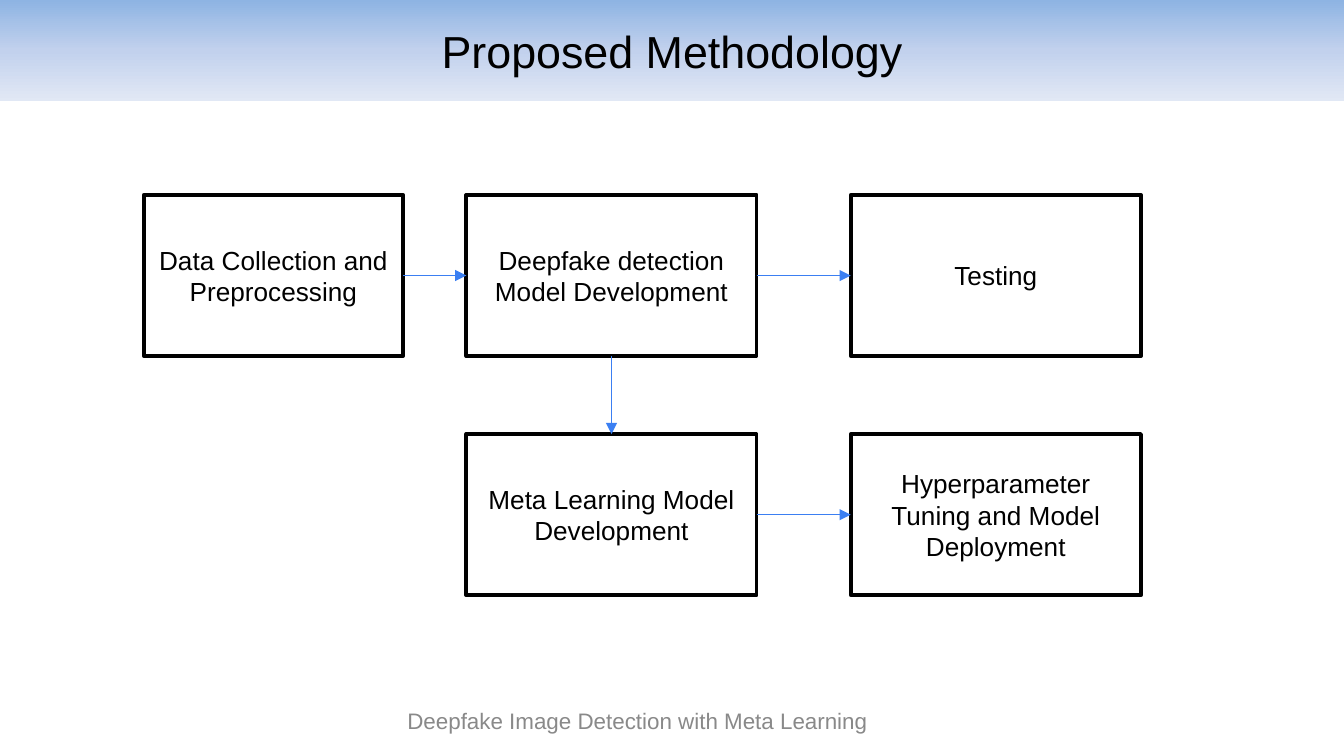
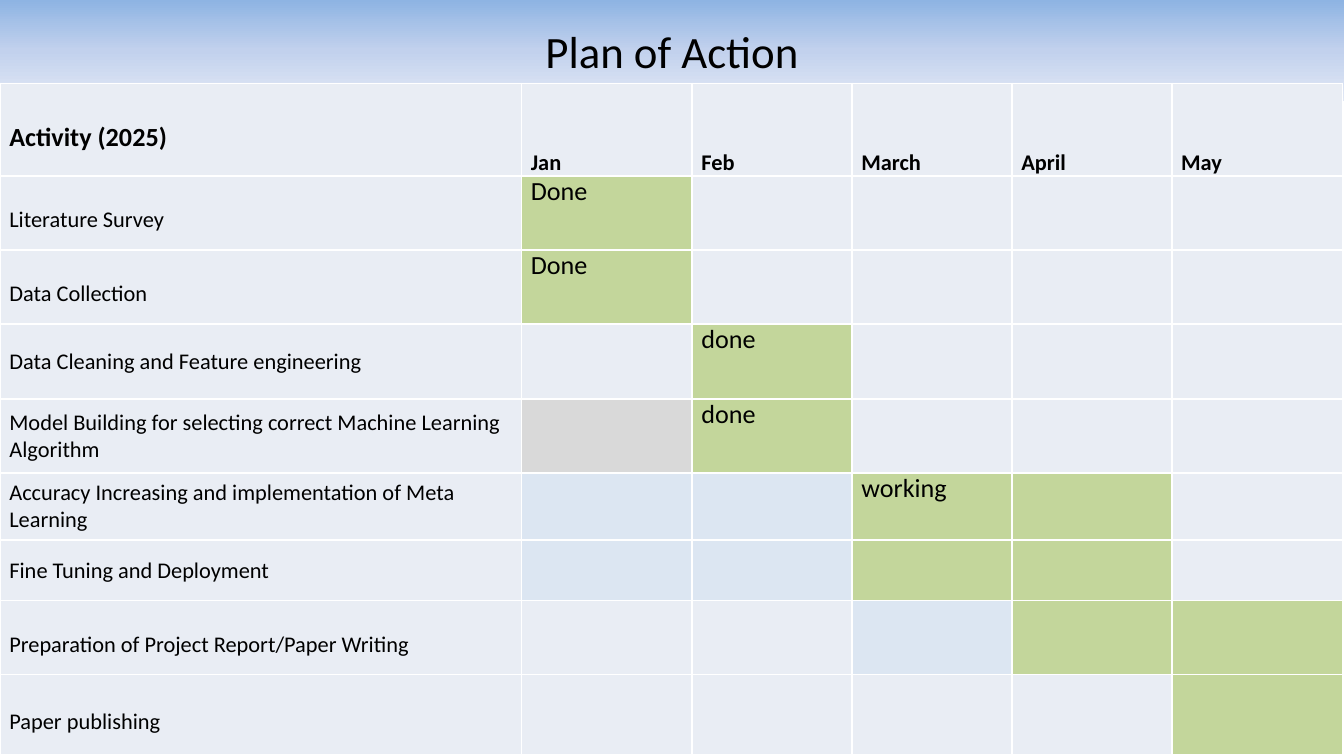
from copy import deepcopy

from lxml import etree
from pptx import Presentation, util as u
from pptx.dml.color import RGBColor
from pptx.enum import shapes, text
from pptx.oxml import ns

# Shared look
WIDTH = 10
HEIGHT = WIDTH * 9 / 16
BLACK = RGBColor(0, 0, 0)
WHITE = RGBColor(255, 255, 255)
GREY = RGBColor(0x89, 0x89, 0x89)
ARROW_BLUE = RGBColor(0x3B, 0x7F, 0xF2)
BAND_STOPS = [(0, RGBColor(0x8E, 0xB4, 0xE3)),
              (0.5, RGBColor(0xC2, 0xD1, 0xED)),
              (1, RGBColor(0xE1, 0xE8, 0xF5))]
BAND_HEIGHT = 0.75

# Methodology: steps on a grid of columns (left, width) and row tops
STEP_COLUMNS = [(1.07, 1.93), (3.47, 2.16), (6.33, 2.16)]
STEP_TOPS = [1.45, 3.23]
STEP_HEIGHT = 1.2
STEPS = {  # name: (column, row, wording)
    "data": (0, 0, "Data Collection and Preprocessing"),
    "model": (1, 0, "Deepfake detection Model Development"),
    "testing": (2, 0, "Testing"),
    "meta": (1, 1, "Meta Learning Model Development"),
    "tuning": (2, 1, "Hyperparameter Tuning and Model Deployment"),
}
TOP, LEFT, BOTTOM, RIGHT = range(4)
FLOW = [("data", RIGHT, "model", LEFT), ("model", RIGHT, "testing", LEFT),
        ("model", BOTTOM, "meta", TOP), ("meta", RIGHT, "tuning", LEFT)]
FOOTER = "Deepfake Image Detection with Meta Learning"

# Plan: one fill code per month, and notes by month index
MONTHS = ["Jan", "Feb", "March", "April", "May"]
CELL_FILLS = {".": RGBColor(0xE9, 0xED, 0xF4),
              "G": RGBColor(0xC3, 0xD6, 0x9B),
              "B": RGBColor(0xDC, 0xE6, 0xF2),
              "x": RGBColor(0xD9, 0xD9, 0xD9)}
PLAN = [  # activity, fills, notes, row height, loose spacing
    ("Literature Survey", "G....", {0: "Done"}, 0.55, True),
    ("Data Collection", "G....", {0: "Done"}, 0.55, True),
    ("Data Cleaning and Feature engineering", ".G...", {1: "done"}, 0.56, False),
    ("Model Building for selecting correct Machine Learning Algorithm",
     "xG...", {1: "done"}, 0.55, False),
    ("Accuracy Increasing and implementation of Meta Learning",
     "BBGG.", {2: "working"}, 0.5, False),
    ("Fine Tuning and Deployment", "BBGG.", {}, 0.45, False),
    ("Preparation of Project Report/Paper Writing", "..BGG", {}, 0.55, True),
    ("Paper publishing", "....G", {}, 0.6, True),
]
PLAN_TOP = 0.62
PLAN_HEADER_HEIGHT = 0.69
PLAN_WIDTHS = [3.88, 1.27, 1.19, 1.19, 1.19, 1.27]


def inches(*lengths):
    return [u.Inches(length) for length in lengths]


def write(frame, wording, size, font, color=BLACK, align=text.PP_ALIGN.CENTER):
    frame.word_wrap = True
    frame.vertical_anchor = text.MSO_ANCHOR.MIDDLE
    line = frame.paragraphs[0]
    line.text = wording
    line.alignment = align
    line.font.size, line.font.name = u.Pt(size), font
    line.font.color.rgb = color


def add_box(slide, left, top, width, height):
    box = slide.shapes.add_shape(shapes.MSO_SHAPE.RECTANGLE,
                                 *inches(left, top, width, height))
    box.shadow.inherit = False
    return box


def add_title(slide, wording, font):
    band = add_box(slide, 0, 0, WIDTH, BAND_HEIGHT)
    band.line.fill.background()
    band.fill.gradient()
    band.fill.gradient_angle = 270
    stop_list = band._element.spPr.find(".//" + ns.qn("a:gsLst"))
    stop_list.append(deepcopy(stop_list[-1]))
    for stop, (position, color) in zip(band.fill.gradient_stops, BAND_STOPS):
        stop.position = position
        stop.color.rgb = color
    write(band.text_frame, wording, 24, font)


def add_arrow(slide, start, start_side, end, end_side):
    arrow = slide.shapes.add_connector(shapes.MSO_CONNECTOR.STRAIGHT, 0, 0, 0, 0)
    arrow.begin_connect(start, start_side)
    arrow.end_connect(end, end_side)
    arrow.line.color.rgb = ARROW_BLUE
    arrow.line.width = u.Pt(0.75)
    etree.SubElement(arrow.line._get_or_add_ln(), ns.qn("a:tailEnd"), type="triangle")
    etree.SubElement(arrow._element.spPr, ns.qn("a:effectLst"))


def style_cell(cell, fill):
    cell.margin_left = cell.margin_right = u.Inches(0.07)
    cell.margin_top = cell.margin_bottom = 0
    properties = cell._tc.get_or_add_tcPr()
    for side in ("lnL", "lnR", "lnT", "lnB"):
        border = etree.SubElement(properties, ns.qn("a:" + side), w=str(u.Pt(1)))
        solid = etree.SubElement(border, ns.qn("a:solidFill"))
        etree.SubElement(solid, ns.qn("a:srgbClr"), val=str(WHITE))
    cell.fill.solid()
    cell.fill.fore_color.rgb = fill


def write_cell(cell, wording, size, anchor, loose=False, bold=False):
    cell.vertical_anchor = anchor
    line = cell.text_frame.paragraphs[0]
    line.text = wording
    line.font.size, line.font.name, line.font.bold = u.Pt(size), "Calibri", bold
    line.font.color.rgb = BLACK
    if loose:
        line.alignment = text.PP_ALIGN.JUSTIFY
        line.line_spacing = 1.5


def build_methodology(slide):
    add_title(slide, "Proposed Methodology", "Arial")
    boxes = {}
    for name, (column, row, wording) in STEPS.items():
        left, width = STEP_COLUMNS[column]
        box = boxes[name] = add_box(slide, left, STEP_TOPS[row], width, STEP_HEIGHT)
        box.fill.solid()
        box.fill.fore_color.rgb = WHITE
        box.line.color.rgb = BLACK
        box.line.width = u.Pt(2)
        write(box.text_frame, wording, 14, "Arial")
    for start, start_side, end, end_side in FLOW:
        add_arrow(slide, boxes[start], start_side, boxes[end], end_side)
    footer = slide.shapes.add_textbox(*inches(0.82, 5.21, 7.85, 0.3))
    write(footer.text_frame, FOOTER, 12, "Arial", GREY)


def build_plan(slide):
    add_title(slide, "Plan of Action", "Calibri")
    heights = [PLAN_HEADER_HEIGHT] + [entry[3] for entry in PLAN]
    plan = slide.shapes.add_table(
        len(heights), len(PLAN_WIDTHS),
        *inches(0, PLAN_TOP, sum(PLAN_WIDTHS), sum(heights))).table
    plan.first_row = plan.horz_banding = False
    for column, width in zip(plan.columns, PLAN_WIDTHS):
        column.width = u.Inches(width)
    for row, height in zip(plan.rows, heights):
        row.height = u.Inches(height)
    for cell in plan.iter_cells():
        style_cell(cell, CELL_FILLS["."])

    # Header row
    anchors = text.MSO_ANCHOR
    write_cell(plan.cell(0, 0), "Activity (2025)", 14, anchors.MIDDLE, True, True)
    for column, month in enumerate(MONTHS, 1):
        write_cell(plan.cell(0, column), month, 12, anchors.BOTTOM, True, True)

    # Activities and their months
    for row, (activity, fills, notes, _, loose) in enumerate(PLAN, 1):
        write_cell(plan.cell(row, 0), activity, 12, anchors.MIDDLE, loose)
        for month, code in enumerate(fills):
            cell = plan.cell(row, month + 1)
            cell.fill.fore_color.rgb = CELL_FILLS[code]
            if month in notes:
                write_cell(cell, notes[month], 14, anchors.TOP)


def main():
    deck = Presentation()
    deck.slide_width, deck.slide_height = inches(WIDTH, HEIGHT)
    blank = deck.slide_layouts[6]
    for build in (build_methodology, build_plan):
        build(deck.slides.add_slide(blank))
    deck.save("out.pptx")


if __name__ == "__main__":
    main()
